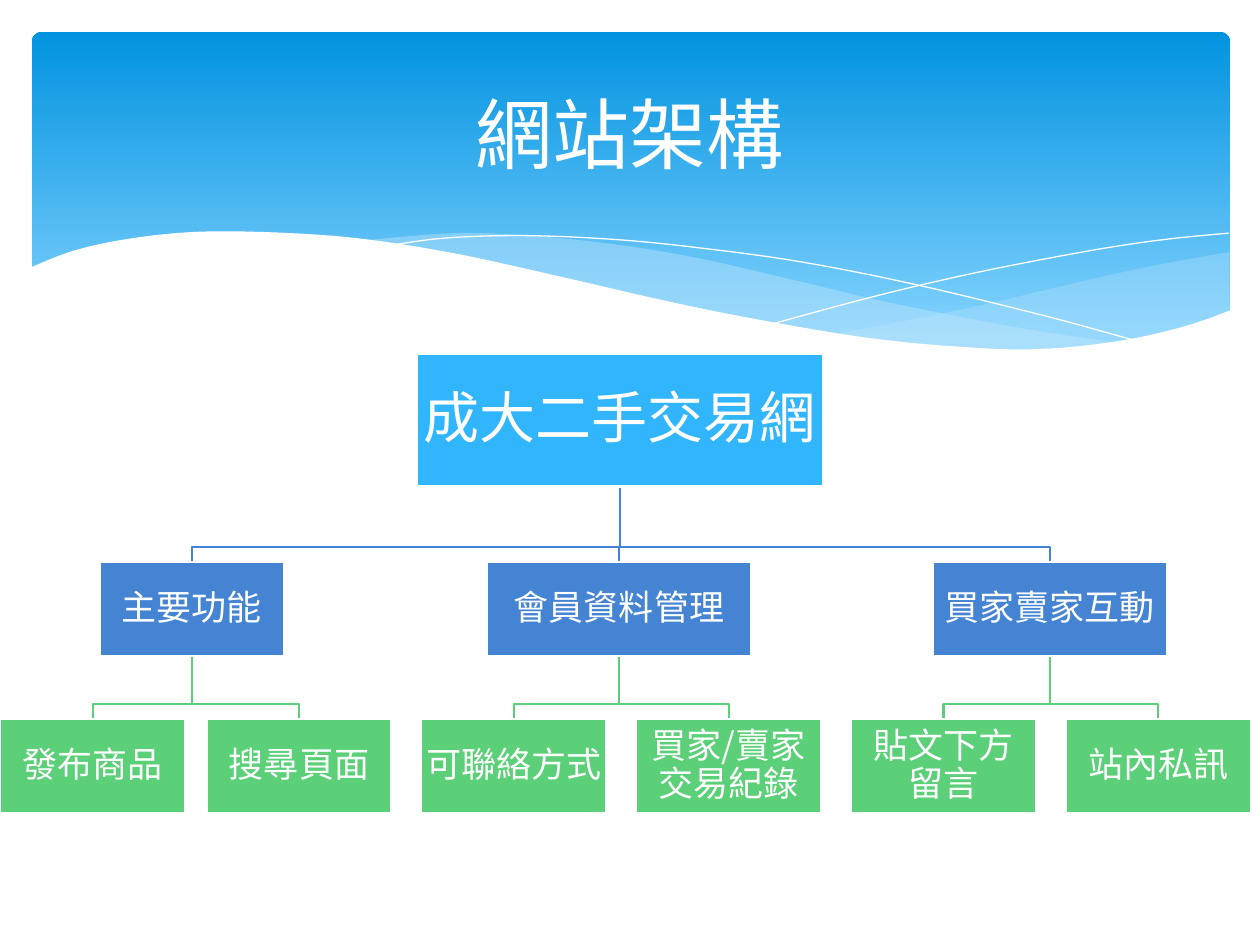
"""Build a site-structure slide: a wavy blue header above a three-level tree."""
from lxml import etree
from pptx import Presentation
from pptx.dml.color import RGBColor
from pptx.enum.shapes import MSO_SHAPE
from pptx.enum.text import MSO_ANCHOR, PP_ALIGN
from pptx.oxml.ns import qn
from pptx.util import Cm, Pt

RECTANGLE, ROUNDED = MSO_SHAPE.RECTANGLE, MSO_SHAPE.ROUNDED_RECTANGLE
MIDDLE, CENTER = MSO_ANCHOR.MIDDLE, PP_ALIGN.CENTER

COLORS = {
    "white": "FFFFFF", "header_top": "0293E0", "header_bottom": "83D3FE",
    "mist": "C6E7FC", "site": "31B6FD", "section": "4584D3", "page": "5BD078",
}
TITLE_FONT, NODE_FONT = "Cabin", "Noto Sans CJK SC"
TITLE = "網站架構"

SITE = ("成大二手交易網", 12.5, 8.18)
SECTIONS = [
    ("主要功能", 3.87, 3.73, [("發布商品", 1.87), ("搜尋頁面", 6.03)]),
    ("會員資料管理", 12.48, 5.33, [("可聯絡方式", 10.36), ("買家/賣家交易紀錄", 14.69)]),
    ("買家賣家互動", 21.16, 4.72, [("貼文下方 留言", 19.02), ("站內私訊", 23.35)]),
]
LEVELS = {
    "site": {"top": 7.14, "height": 2.67, "size": 32},
    "section": {"top": 11.33, "height": 1.9, "size": 20},
    "page": {"top": 14.5, "height": 1.9, "size": 20},
}
PAGE_WIDTH, BUS_RISE = 3.73, 0.3

MISTS = [
    (29,
     [(24.79, 5.08), (23.39, 5.33), (21.87, 5.66), (19.79, 6.15), (17.93, 6.53), (16.79, 6.73)],
     [(16.79, 6.73), (18.26, 6.91), (19.84, 7.04), (21.21, 7.04), (22.58, 6.91), (23.75, 6.65),
      (24.79, 6.27)]),
    (40,
     [(22.68, 6.93), (20.5, 6.6), (17.93, 6.1), (15.98, 5.64), (14.1, 5.21), (12.42, 4.93),
      (10.67, 4.75), (9.17, 4.7), (7.26, 4.85)],
     [(7.26, 4.85), (9.19, 5.16), (11.4, 5.64), (13.46, 6.1), (15.7, 6.55), (17.65, 6.86),
      (19.33, 7.04), (21.03, 7.06), (22.68, 6.93)]),
]
THREADS = [
    [(7.85, 4.95), (8.97, 4.8), (10.57, 4.75), (12.42, 4.83), (14.12, 5), (16.15, 5.28),
     (18.47, 5.74), (21.11, 6.38), (23.04, 6.91)],
    [(15.57, 6.53), (17.65, 5.97), (19.71, 5.49), (22, 5.05), (23.47, 4.83), (24.77, 4.7)],
]
WAVE = [(0.58, 5.41), (1.5, 5.05), (2.69, 4.8), (4.09, 4.67), (5.84, 4.7), (7.42, 4.83),
        (9.27, 5.13), (11.35, 5.59), (13.44, 6.07), (15.32, 6.45), (17.48, 6.81),
        (19.33, 6.99), (20.9, 7.04), (22.53, 6.88), (23.88, 6.58), (24.82, 6.25)]
WAVE_BASE = [(24.82, 8.36), (0.58, 8.36)]


def rgb(name):
    return RGBColor.from_string(COLORS[name])


def smooth(knots, steps=6):
    """Return a Catmull-Rom curve through the knots."""
    padded = [knots[0], *knots, knots[-1]]
    curve = [knots[0]]
    for a, b, c, d in zip(padded, padded[1:], padded[2:], padded[3:]):
        for step in range(1, steps + 1):
            t = step / steps
            curve.append(tuple(
                b[i] + 0.5 * t * (c[i] - a[i]
                                  + t * (2 * a[i] - 5 * b[i] + 4 * c[i] - d[i]
                                         + t * (3 * (b[i] - c[i]) + d[i] - a[i])))
                for i in (0, 1)))
    return curve


def add_outline(shapes, points, fill=None, line=None, width=0):
    corners = [(Cm(x), Cm(y)) for x, y in points]
    builder = shapes.build_freeform(*corners[0])
    builder.add_line_segments(corners[1:], close=fill is not None)
    outline = builder.convert_to_shape()
    outline.shadow.inherit = False
    if fill:
        outline.fill.solid()
        outline.fill.fore_color.rgb = rgb(fill)
    else:
        outline.fill.background()
    if line:
        outline.line.color.rgb = rgb(line)
        outline.line.width = Pt(width)
    else:
        outline.line.fill.background()
    return outline


def write(frame, text, size, font):
    frame.word_wrap = True
    frame.vertical_anchor = MIDDLE
    frame.text = text
    paragraph = frame.paragraphs[0]
    paragraph.alignment = CENTER
    paragraph.font.size = Pt(size)
    paragraph.font.color.rgb = rgb("white")
    paragraph.font.name = font
    etree.SubElement(paragraph.font._rPr, qn("a:ea"), typeface=NODE_FONT)
    return paragraph


def add_header(shapes):
    panel = shapes.add_shape(ROUNDED, Cm(0.64), Cm(0.64), Cm(24.16), Cm(6.86))
    panel.adjustments[0] = 0.03
    panel.shadow.inherit = False
    panel.line.fill.background()
    panel.fill.gradient()
    panel.fill.gradient_angle = 270
    for stop, name, position in zip(panel.fill.gradient_stops,
                                    ("header_top", "header_bottom"), (0, 0.9)):
        stop.color.rgb = rgb(name)
        stop.position = position
    for opacity, upper, lower in MISTS:
        mist = add_outline(shapes, smooth(upper) + smooth(lower), fill="mist")
        tint = mist._element.spPr.find(qn("a:solidFill"))[0]
        etree.SubElement(tint, qn("a:alpha"), val=str(opacity * 1000))
    for thread in THREADS:
        add_outline(shapes, smooth(thread), line="white")
    add_outline(shapes, smooth(WAVE) + WAVE_BASE, fill="white")
    title = shapes.add_textbox(Cm(1.27), Cm(0.94), Cm(22.86), Cm(3.48))
    write(title.text_frame, TITLE, 44, TITLE_FONT)


def add_branch(shapes, parent, parent_x, child, child_x):
    start = LEVELS[parent]["top"] + LEVELS[parent]["height"]
    end = LEVELS[child]["top"]
    bus = end - BUS_RISE
    add_outline(shapes, [(parent_x, start), (parent_x, bus), (child_x, bus), (child_x, end)],
                line=child, width=1.25)


def add_node(shapes, level, text, center, width):
    place = LEVELS[level]
    node = shapes.add_shape(RECTANGLE, Cm(center - width / 2), Cm(place["top"]),
                            Cm(width), Cm(place["height"]))
    node.shadow.inherit = False
    node.fill.solid()
    node.fill.fore_color.rgb = rgb(level)
    node.line.color.rgb = rgb("white")
    node.line.width = Pt(1.25)
    frame = node.text_frame
    frame.margin_left = frame.margin_right = frame.margin_top = frame.margin_bottom = Cm(0.04)
    write(frame, text, place["size"], NODE_FONT).line_spacing = 0.9


def add_tree(shapes):
    for _, section_x, _, pages in SECTIONS:
        add_branch(shapes, "site", SITE[1], "section", section_x)
        for _, page_x in pages:
            add_branch(shapes, "section", section_x, "page", page_x)
    add_node(shapes, "site", *SITE)
    for section, section_x, width, pages in SECTIONS:
        add_node(shapes, "section", section, section_x, width)
        for page, page_x in pages:
            add_node(shapes, "page", page, page_x, PAGE_WIDTH)


def main():
    deck = Presentation()
    deck.slide_width, deck.slide_height = Cm(25.4), Cm(19.05)
    shapes = deck.slides.add_slide(deck.slide_layouts[6]).shapes
    add_header(shapes)
    add_tree(shapes)
    deck.save("out.pptx")


if __name__ == "__main__":
    main()
